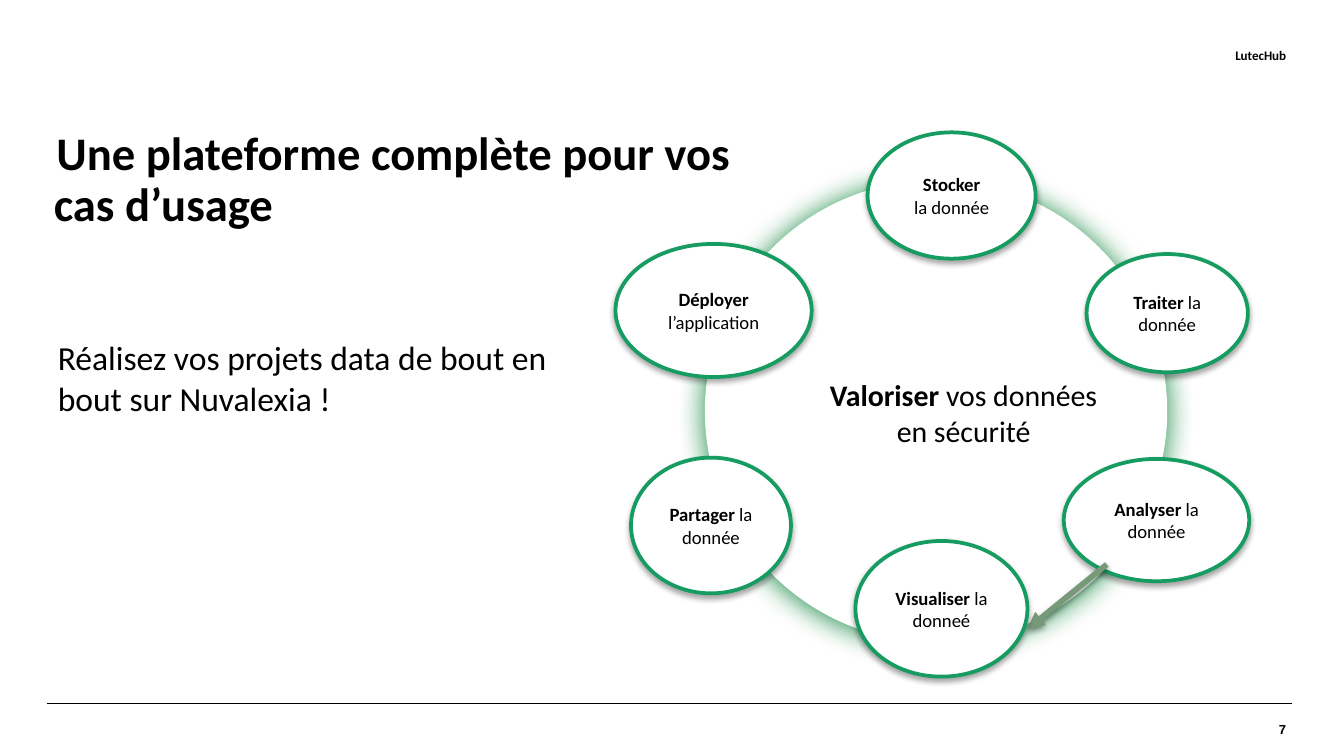
from lxml.etree import SubElement as Sub
from pptx import Presentation
from pptx.dml.color import RGBColor as Rgb
from pptx.enum.shapes import MSO_CONNECTOR as Conn, MSO_SHAPE as Kind
from pptx.enum.text import MSO_ANCHOR as Anchor, MSO_AUTO_SIZE as Auto, PP_ALIGN as Align
from pptx.oxml.ns import qn
from pptx.util import Pt

PX = 4572
BLACK, WHITE, GREEN = "000000", "FFFFFF", "169B61"
hue = Rgb.from_string


def cast(shape, tint, alpha, blur, dist):
    props = shape._element.spPr
    box = props.find(qn("a:effectLst"))
    if box is None:
        box = Sub(props, qn("a:effectLst"))
    if tint:
        glow = Sub(box, qn("a:outerShdw"), blurRad=str(Pt(blur)), dist=str(Pt(dist)),
                   dir="5400000", algn="ctr", rotWithShape="0")
        tone = Sub(glow, qn("a:srgbClr"), val=tint)
        Sub(tone, qn("a:alpha"), val=str(alpha * 1000))


def write(shape, lines, size, align, side, pad, anchor, font="Calibri"):
    frame = shape.text_frame
    frame.word_wrap = True
    frame.auto_size = Auto.NONE
    frame.vertical_anchor = anchor
    frame.margin_left = frame.margin_right = side * PX
    frame.margin_top = frame.margin_bottom = pad * PX
    for i, parts in enumerate(lines):
        para = frame.add_paragraph() if i else frame.paragraphs[0]
        para.alignment = align
        para.space_before = Pt(0)
        for text, bold in parts:
            run = para.add_run()
            run.text = text
            run.font.name = font
            run.font.size = Pt(size)
            run.font.bold = bold
            run.font.color.rgb = hue(BLACK)


deck = Presentation()
deck.slide_width, deck.slide_height = 2000 * PX, 1125 * PX
slide = deck.slides.add_slide(deck.slide_layouts[1])
shapes = slide.shapes

for left in (70, 78):
    rule = shapes.add_connector(Conn.STRAIGHT, left * PX, 1047 * PX, (left + 1844) * PX, 1047 * PX)
    rule.line.color.rgb = hue(BLACK)
    rule.line.width = Pt(0.8)
    cast(rule, None, 0, 0, 0)

for text, x, y, w, font in (("LutecHub", 628, 68, 1286, "Calibri"), ("7", 1886, 1072, 28, "Arial")):
    label = shapes.add_textbox(x * PX, y * PX, w * PX, 28 * PX)
    write(label, [[(text, True)]], 7, Align.RIGHT, 0, 0, Anchor.MIDDLE, font)

title = shapes.title
title.left, title.top, title.width, title.height = 70 * PX, 150 * PX, 1066 * PX, 238 * PX
write(title, [[("Une plateforme complète pour vos cas d’usage", True)]],
      25, Align.LEFT, 10, 10, Anchor.MIDDLE)
head = title.text_frame.paragraphs[0]
head.line_spacing = 0.9
head._p.get_or_add_pPr().set("indent", str(4 * PX))

body = slide.placeholders[1]
body.left, body.top, body.width, body.height = 66 * PX, 492 * PX, 846 * PX, 142 * PX
props = body.text_frame.paragraphs[0]._p.get_or_add_pPr()
props.set("marL", "0")
props.set("indent", "0")
write(body, [[("Réalisez vos projets data de bout en bout sur Nuvalexia !", False)]],
      18, Align.LEFT, 20, 10, Anchor.TOP)
Sub(props, qn("a:buNone"))

ring = shapes.add_shape(Kind.OVAL, 1049 * PX, 268 * PX, 688 * PX, 688 * PX)
ring.shadow.inherit = False
ring.fill.solid()
ring.fill.fore_color.rgb = hue(WHITE)
ring.line.fill.background()
cast(ring, "1E8D49", 100, 15, 1)

core = shapes.add_textbox(1179 * PX, 551 * PX, 510 * PX, 128 * PX)
write(core, [[("Valoriser", True), (" vos données", False)], [("en sécurité", False)]],
      16, Align.CENTER, 10, 10, Anchor.TOP)

arrow = shapes.add_connector(Conn.STRAIGHT, 1529 * PX, 936 * PX, 1647 * PX, 840 * PX)

steps = [
    (1617, 378, 240, 176, [[("Traiter ", True), ("la donnée", False)]]),
    (1583, 683, 276, 182, [[("Analyser ", True), ("la donnée", False)]]),
    (939, 681, 238, 202, [[("Partager ", True), ("la donnée", False)]]),
    (916, 363, 292, 198, [[("Déployer", True), (" l’application", False)]]),
    (1273, 805, 256, 202, [[("Visualiser ", True), ("la donneé", False)]]),
    (1291, 197, 250, 188, [[("Stocker", True)], [("la donnée", False)]]),
]
for x, y, w, h, lines in steps:
    step = shapes.add_shape(Kind.OVAL, x * PX, y * PX, w * PX, h * PX)
    step.shadow.inherit = False
    step.fill.solid()
    step.fill.fore_color.rgb = hue(WHITE)
    step.line.color.rgb = hue(GREEN)
    step.line.width = Pt(2)
    cast(step, BLACK, 35, 3, 1.8)
    write(step, lines, 10, Align.CENTER, 10, 10, Anchor.MIDDLE)
    if lines[0][0][0] == "Déployer":
        shapes._spTree.append(arrow._element)

arrow.line.color.rgb = hue("769977")
arrow.line.width = Pt(3)
Sub(arrow.line._get_or_add_ln(), qn("a:headEnd"), type="triangle")
cast(arrow, BLACK, 38, 3, 1.6)

deck.save("out.pptx")
